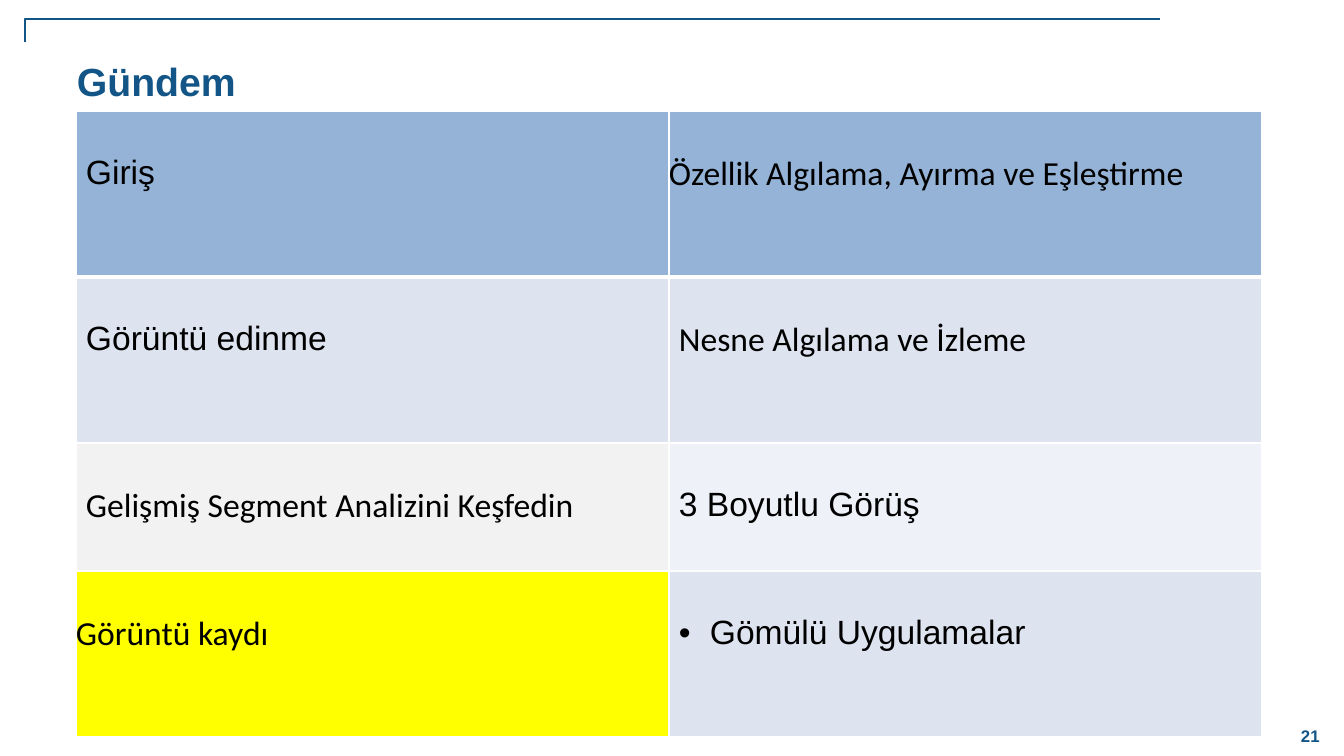
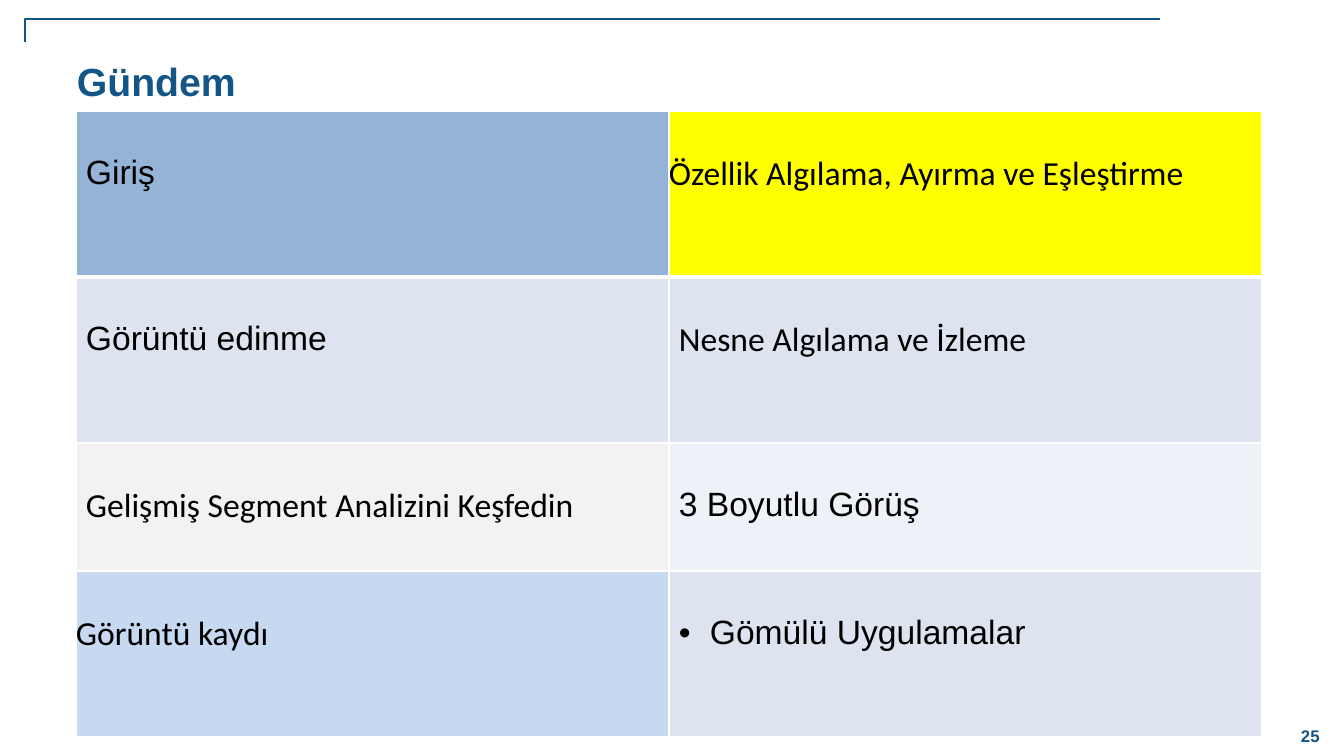
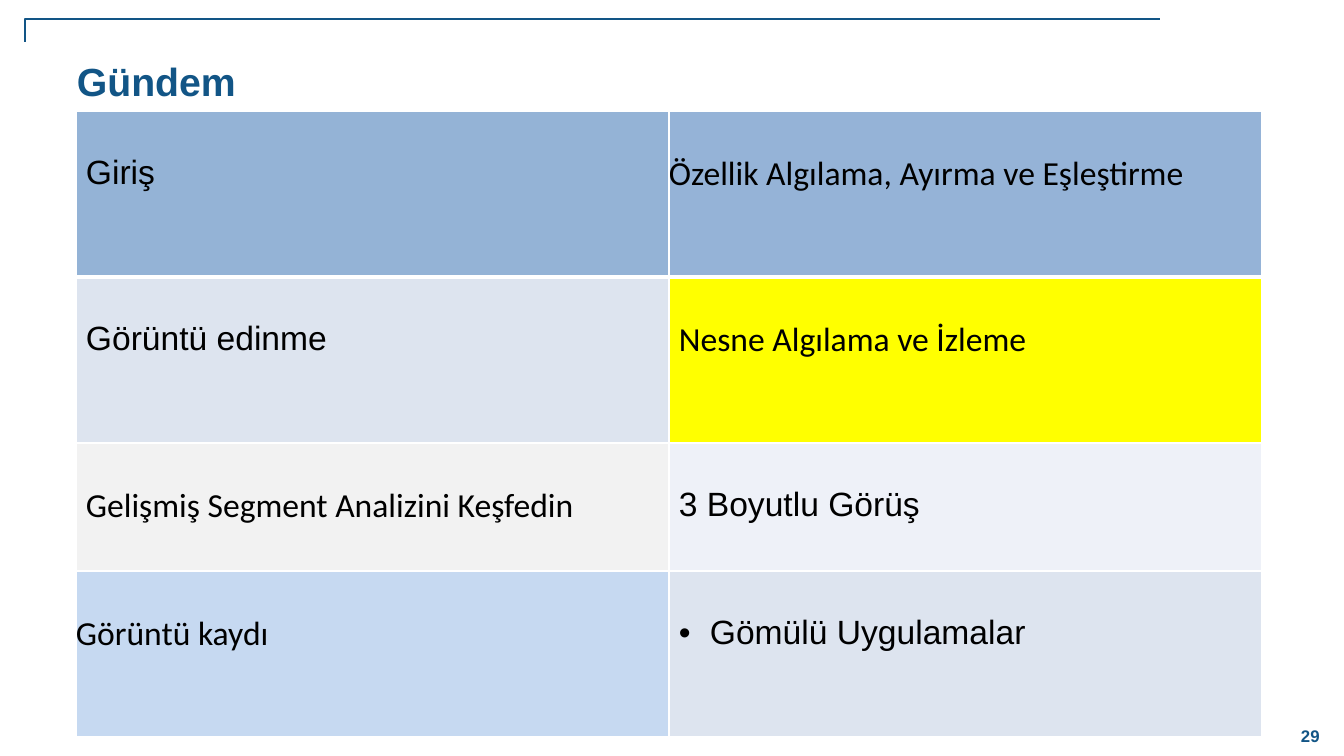
"""Build three agenda slides, each highlighting its current topic."""
from lxml.etree import SubElement
from pptx import Presentation
from pptx.dml.color import RGBColor
from pptx.oxml.ns import qn
from pptx.util import Emu, Pt

NAVY = RGBColor(0x12, 0x55, 0x86)
BLACK = RGBColor(0, 0, 0)
WHITE = RGBColor(255, 255, 255)
YELLOW = RGBColor(255, 255, 0)
STEEL = RGBColor(0x94, 0xB3, 0xD6)
STEEL_ALT = RGBColor(0x95, 0xB3, 0xD7)
MIST = RGBColor(0xDD, 0xE4, 0xEF)
GRAY = RGBColor(0xF2, 0xF2, 0xF2)
PALE = RGBColor(0xEE, 0xF1, 0xF8)
SKY = RGBColor(0xC6, 0xD9, 0xF1)

SANS, BODY = "Arial", "Calibri"
TITLE = "Gündem"
TOPICS = [
    [("Giriş", SANS, 10, STEEL), ("Özellik Algılama, Ayırma ve Eşleştirme", BODY, 0, STEEL)],
    [("Görüntü edinme", SANS, 10, MIST), ("Nesne Algılama ve İzleme", BODY, 10, MIST)],
    [("Gelişmiş Segment Analizini Keşfedin", BODY, 10, GRAY), ("3 Boyutlu Görüş", SANS, 10, PALE)],
    [("Görüntü kaydı", BODY, 0, SKY), ("Gömülü Uygulamalar", SANS, 10, MIST)],
]
BULLETED = {(3, 1)}
SLIDES = [
    ("21", {(3, 0): YELLOW}),
    ("25", {(0, 1): YELLOW}),
    ("29", {(1, 1): YELLOW, (0, 1): STEEL_ALT}),
]

TABLE_LEFT, TABLE_TOP, COLUMN_WIDTH = 76, 111, 593
ROW_HEIGHTS = [166, 166, 128, 166]
CELL_TOP = 43
BULLET_INDENT = 31
THIN, THICK = Pt(1), Pt(3)


def px(count):
    return Emu(round(count * 914400 / 100.8))


def add_run(para, text, font, size, color, bold=False):
    span = para.add_run()
    span.text = text
    span.font.name = font
    span.font.size = Pt(size)
    span.font.bold = bold
    span.font.color.rgb = color


def add_label(page, area, text, size):
    frame = page.shapes.add_textbox(*map(px, area)).text_frame
    frame.word_wrap = True
    frame.margin_left = frame.margin_right = frame.margin_top = frame.margin_bottom = 0
    add_run(frame.paragraphs[0], text, SANS, size, NAVY, bold=True)


def add_corner_line(page):
    builder = page.shapes.build_freeform(px(1160), px(19))
    builder.add_line_segments([(px(25), px(19)), (px(25), px(42))], close=False)
    corner = builder.convert_to_shape()
    corner.shadow.inherit = False
    corner.fill.background()
    corner.line.color.rgb = NAVY
    corner.line.width = Pt(0.96)


def add_bullet(para):
    props = para._p.get_or_add_pPr()
    props.set("marL", str(px(BULLET_INDENT)))
    props.set("indent", str(-px(BULLET_INDENT)))
    SubElement(props, qn("a:buFont"), typeface=SANS)
    SubElement(props, qn("a:buChar"), char="•")


def set_borders(cell, top, bottom):
    props = cell._tc.get_or_add_tcPr()
    for side, width in (("L", THIN), ("R", THIN), ("T", top), ("B", bottom)):
        line = SubElement(props, qn(f"a:ln{side}"), w=str(width))
        fill = SubElement(line, qn("a:solidFill"))
        SubElement(fill, qn("a:srgbClr"), val=str(WHITE))


def add_agenda(page, fills):
    area = (TABLE_LEFT, TABLE_TOP, 2 * COLUMN_WIDTH, sum(ROW_HEIGHTS))
    table = page.shapes.add_table(len(TOPICS), 2, *map(px, area)).table
    table.first_row = table.horz_banding = False
    for column in table.columns:
        column.width = px(COLUMN_WIDTH)
    for row, topics in enumerate(TOPICS):
        table.rows[row].height = px(ROW_HEIGHTS[row])
        for column, (text, font, left, color) in enumerate(topics):
            cell = table.cell(row, column)
            cell.margin_left, cell.margin_top = px(left), px(CELL_TOP)
            cell.margin_right = cell.margin_bottom = 0
            set_borders(cell, THICK if row == 1 else THIN, THICK if row == 0 else THIN)
            cell.fill.solid()
            cell.fill.fore_color.rgb = fills.get((row, column), color)
            para = cell.text_frame.paragraphs[0]
            if (row, column) in BULLETED:
                add_bullet(para)
            add_run(para, text, font, 24, BLACK)


def main():
    deck = Presentation()
    deck.slide_width, deck.slide_height = px(1344), px(756)
    for number, fills in SLIDES:
        page = deck.slides.add_slide(deck.slide_layouts[6])
        add_corner_line(page)
        add_label(page, (77, 57, 200, 45), TITLE, 28)
        add_label(page, (1301, 726, 30, 21), number, 12)
        add_agenda(page, fills)
    deck.save("out.pptx")


if __name__ == "__main__":
    main()
